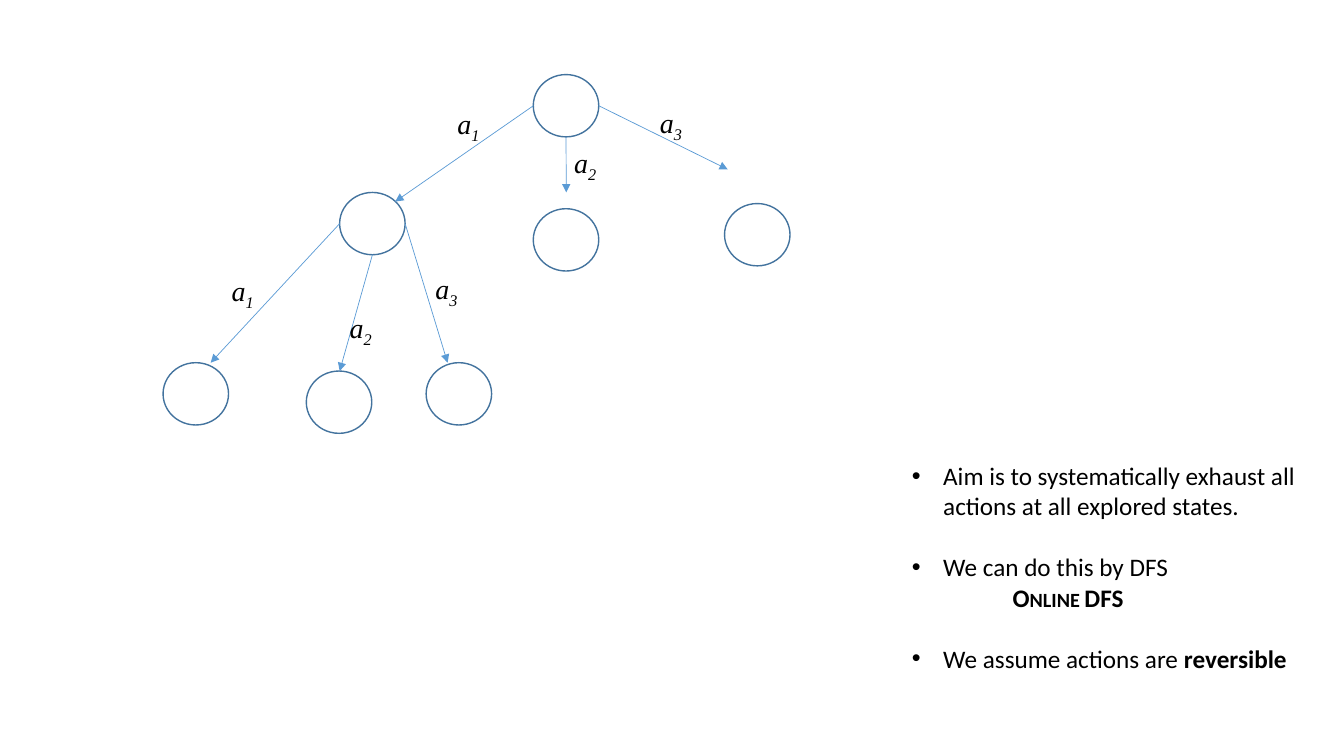
from pptx import Presentation
from pptx.dml.color import RGBColor
from pptx.enum.shapes import MSO_CONNECTOR as Conn, MSO_SHAPE as Shape
from pptx.enum.text import MSO_AUTO_SIZE as AutoSize
from pptx.oxml.ns import qn
from pptx.util import Cm, Pt
from lxml.etree import SubElement

BLACK = RGBColor(0x00, 0x00, 0x00)
NODE_LINE = RGBColor(0x43, 0x73, 0x9E)
ARROW = RGBColor(0x5B, 0x9B, 0xD5)
NODE_W, NODE_H = 1.65, 1.57

ROOT = (13.44, 1.88)
CHILD = (8.56, 4.85)
LEAVES = [(13.44, 5.26), (18.26, 5.13), (4.11, 9.14), (7.72, 9.35), (10.74, 9.14)]
BRANCHES = {
    ROOT: [((9.96, 5.08), (11.28, 2.57)),
           ((14.27, 4.85), (14.22, 3.53)),
           ((18.34, 4.27), (16.38, 2.54))],
    CHILD: [((5.31, 9.14), (5.59, 6.76)),
            ((8.56, 9.35), (8.56, 7.7)),
            ((11.28, 9.14), (10.72, 6.71))],
}
NOTES = [
    (True, 0, [("Aim is to systematically exhaust all actions at all explored states.", {})]),
    (True, 22, [("We can do this by DFS", {})]),
    (False, 0, [("Online DFS", {"bold": True, "cap": "small"})]),
    (True, 22, [("We assume actions are ", {}), ("reversible", {"bold": True})]),
]


class Diagram:
    """Draws search-tree elements on one slide in a shared style."""

    def __init__(self, s):
        self.s = s

    def node(self, x, y):
        sp = self.s.shapes.add_shape(Shape.OVAL, Cm(x), Cm(y), Cm(NODE_W), Cm(NODE_H))
        sp.shadow.inherit = False
        sp.fill.background()
        sp.line.color.rgb = NODE_LINE
        sp.line.width = Pt(1)

    def arrow(self, start, end):
        c = self.s.shapes.add_connector(Conn.STRAIGHT, *map(Cm, start + end))
        c.line.color.rgb = ARROW
        c.line.width = Pt(0.5)
        SubElement(c.line._get_or_add_ln(), qn("a:tailEnd"), type="triangle")
        SubElement(c._element.spPr, qn("a:effectLst"))

    def box(self, x, y, w, h):
        tf = self.s.shapes.add_textbox(Cm(x), Cm(y), Cm(w), Cm(h)).text_frame
        tf.word_wrap = True
        tf.auto_size = AutoSize.SHAPE_TO_FIT_TEXT
        return tf

    def run(self, p, text, size, font, bold=False, italic=False, **attrs):
        r = p.add_run()
        r.text = text
        f = r.font
        f.name, f.size, f.bold, f.italic = font, Pt(size), bold, italic
        f.color.rgb = BLACK
        for name, value in attrs.items():
            f._element.set(name, value)

    def label(self, x, y, index):
        p = self.box(x, y, 1.17, 1.12).paragraphs[0]
        self.run(p, "a", 20, "Times New Roman", italic=True)
        self.run(p, str(index), 20, "Times New Roman", italic=True, baseline="-25000")

    def notes(self, x, y, w, h, items):
        tf = self.box(x, y, w, h)
        for i, (bullet, space, runs) in enumerate(items):
            p = tf.add_paragraph() if i else tf.paragraphs[0]
            p.space_before = Pt(space)
            pPr = p._p.get_or_add_pPr()
            pPr.set("marL", str(Cm(0.79 if bullet else 2.54)))
            pPr.set("indent", str(Cm(-0.79 if bullet else 0)))
            if bullet:
                SubElement(pPr, qn("a:buFont"), typeface="Arial")
                SubElement(pPr, qn("a:buChar"), char="•")
            for text, style in runs:
                self.run(p, text, 18, "Calibri", **style)


def main():
    prs = Presentation()
    prs.slide_width, prs.slide_height = Cm(33.87), Cm(19.05)
    d = Diagram(prs.slides.add_slide(prs.slide_layouts[6]))
    for x, y in [ROOT, CHILD, *LEAVES]:
        d.node(x, y)
    for (x, y), branches in BRANCHES.items():
        starts = [(x, y + NODE_H / 2), (x + NODE_W / 2, y + NODE_H), (x + NODE_W, y + NODE_H / 2)]
        for i, (start, (tip, spot)) in enumerate(zip(starts, branches), 1):
            d.arrow(start, tip)
            d.label(*spot, i)
    d.notes(22.73, 11.48, 10.36, 5.64, NOTES)
    prs.save("out.pptx")


if __name__ == "__main__":
    main()
